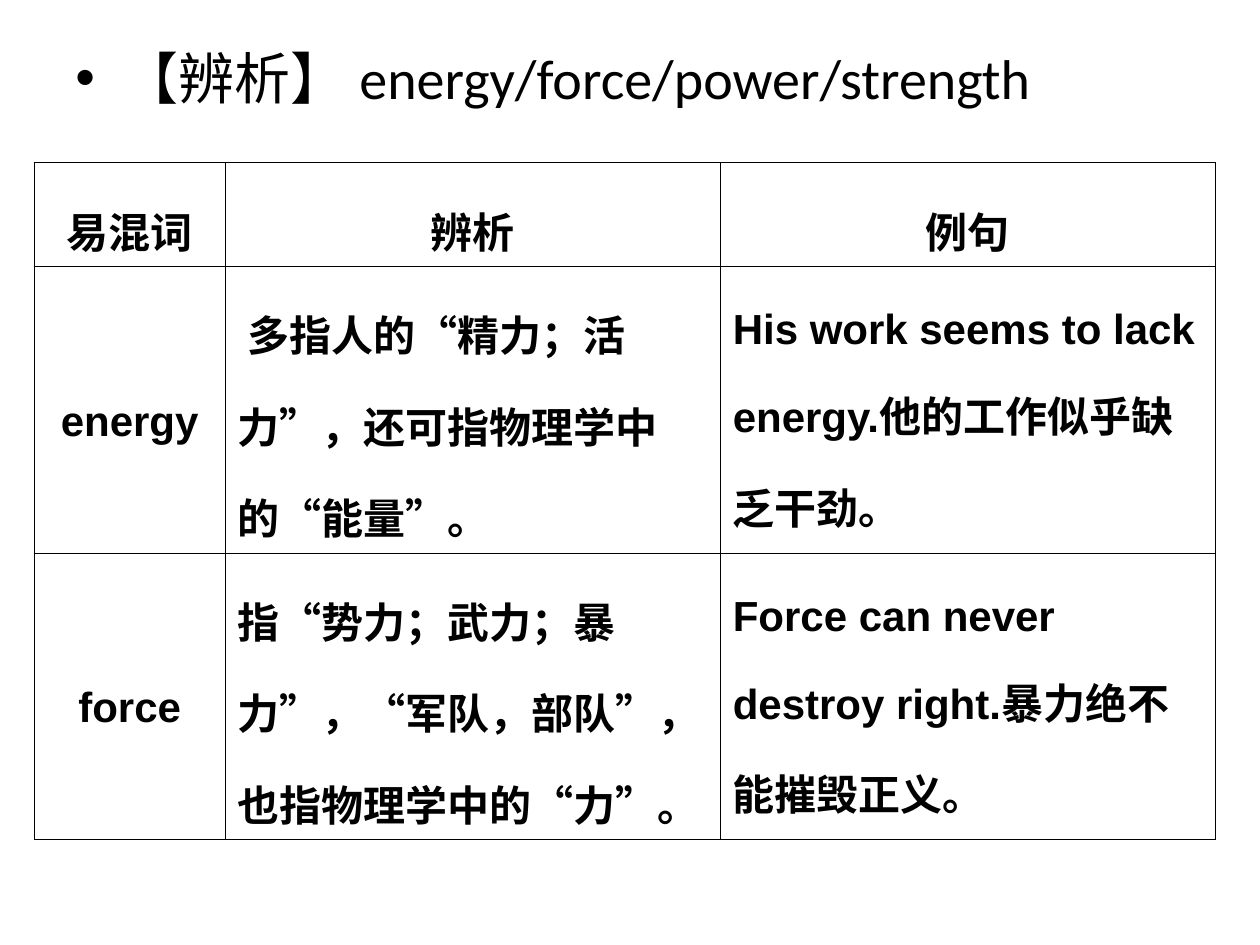
from dataclasses import dataclass
from itertools import groupby

from lxml import etree
from pptx import Presentation
from pptx import util as u
from pptx.dml.color import RGBColor
from pptx.enum import text
from pptx.oxml import ns

BLACK = RGBColor(0x00, 0x00, 0x00)
CJK_FONT = "Noto Sans CJK SC"
SERIF = "Times New Roman"
SANS = "Arial"
QUOTES = "“”"
COLUMN_WIDTHS = (109, 283, 283)
HEADER_HEIGHT = 59.4
ENTRY_HEIGHT = 163.8
BORDER_WIDTH = 0.45
HEADINGS = ("易混词", "辨析", "例句")


@dataclass(frozen=True)
class Entry:
    word: str
    meaning: str
    example: str
    translation: str


ENTRIES = (
    Entry("energy", " 多指人的“精力；活力”，还可指物理学中的“能量”。",
          "His work seems to lack energy.", "他的工作似乎缺乏干劲。"),
    Entry("force", "指“势力；武力；暴力”，“军队，部队”，也指物理学中的“力”。",
          "Force can never destroy right.", "暴力绝不能摧毁正义。"),
)


def add_span(para, content: str, *, font: str, size: float = 24, bold: bool = True) -> None:
    span = para.add_run()
    span.text = content
    span.font.size = u.Pt(size)
    span.font.bold = bold
    span.font.color.rgb = BLACK
    span.font.name = font
    properties = span._r.get_or_add_rPr()
    etree.SubElement(properties, ns.qn("a:ea"), typeface=CJK_FONT)


def add_bullet(para, indent: float) -> None:
    properties = para._p.get_or_add_pPr()
    properties.set("marL", str(u.Pt(indent)))
    properties.set("indent", str(u.Pt(-indent)))
    etree.SubElement(properties, ns.qn("a:buFont"), typeface=SANS)
    etree.SubElement(properties, ns.qn("a:buChar"), char="•")


def add_title(page) -> None:
    box = page.shapes.add_textbox(u.Pt(36), u.Pt(21.3), u.Pt(648), u.Pt(50.4))
    box.text_frame.word_wrap = True
    para = box.text_frame.paragraphs[0]
    add_bullet(para, 27)
    add_span(para, "【辨析】 energy/force/power/strength", font="Calibri", size=32, bold=False)


def set_borders(cell) -> None:
    properties = cell._tc.get_or_add_tcPr()
    for position, side in enumerate(("lnL", "lnR", "lnT", "lnB")):
        line = etree.Element(ns.qn(f"a:{side}"), w=str(u.Pt(BORDER_WIDTH)))
        fill = etree.SubElement(line, ns.qn("a:solidFill"))
        etree.SubElement(fill, ns.qn("a:srgbClr"), val=str(BLACK))
        properties.insert(position, line)


def fill_cell(cell, spans: list[tuple[str, str]], *, centered: bool) -> None:
    cell.fill.background()
    set_borders(cell)
    cell.vertical_anchor = text.MSO_ANCHOR.MIDDLE
    para = cell.text_frame.paragraphs[0]
    para.alignment = text.PP_ALIGN.CENTER if centered else text.PP_ALIGN.LEFT
    para.line_spacing = 1.5
    para._p.get_or_add_pPr().set("hangingPunct", "0")
    for content, font in spans:
        add_span(para, content, font=font)


def split_quotes(content: str) -> list[tuple[str, str]]:
    groups = groupby(content, key=lambda letter: letter in QUOTES)
    return [("".join(letters), CJK_FONT if quoted else SERIF) for quoted, letters in groups]


def add_word_table(page) -> None:
    height = HEADER_HEIGHT + ENTRY_HEIGHT * len(ENTRIES)
    frame = page.shapes.add_table(len(ENTRIES) + 1, len(HEADINGS), u.Pt(19.6), u.Pt(92.9),
                                  u.Pt(sum(COLUMN_WIDTHS)), u.Pt(height))
    table = frame.table
    table.first_row = False
    table.horz_banding = False
    for column, width in zip(table.columns, COLUMN_WIDTHS):
        column.width = u.Pt(width)
    for index, row in enumerate(table.rows):
        row.height = u.Pt(ENTRY_HEIGHT if index else HEADER_HEIGHT)
    for index, heading in enumerate(HEADINGS):
        fill_cell(table.cell(0, index), [(heading, SERIF)], centered=True)
    for index, entry in enumerate(ENTRIES, start=1):
        fill_cell(table.cell(index, 0), [(entry.word, SANS)], centered=True)
        fill_cell(table.cell(index, 1), split_quotes(entry.meaning), centered=False)
        fill_cell(table.cell(index, 2), [(entry.example, SANS), (entry.translation, SERIF)],
                  centered=False)


def main() -> None:
    deck = Presentation()
    deck.slide_width, deck.slide_height = u.Pt(720), u.Pt(540)
    page = deck.slides.add_slide(deck.slide_layouts[6])
    add_title(page)
    add_word_table(page)
    deck.save("out.pptx")


if __name__ == "__main__":
    main()
